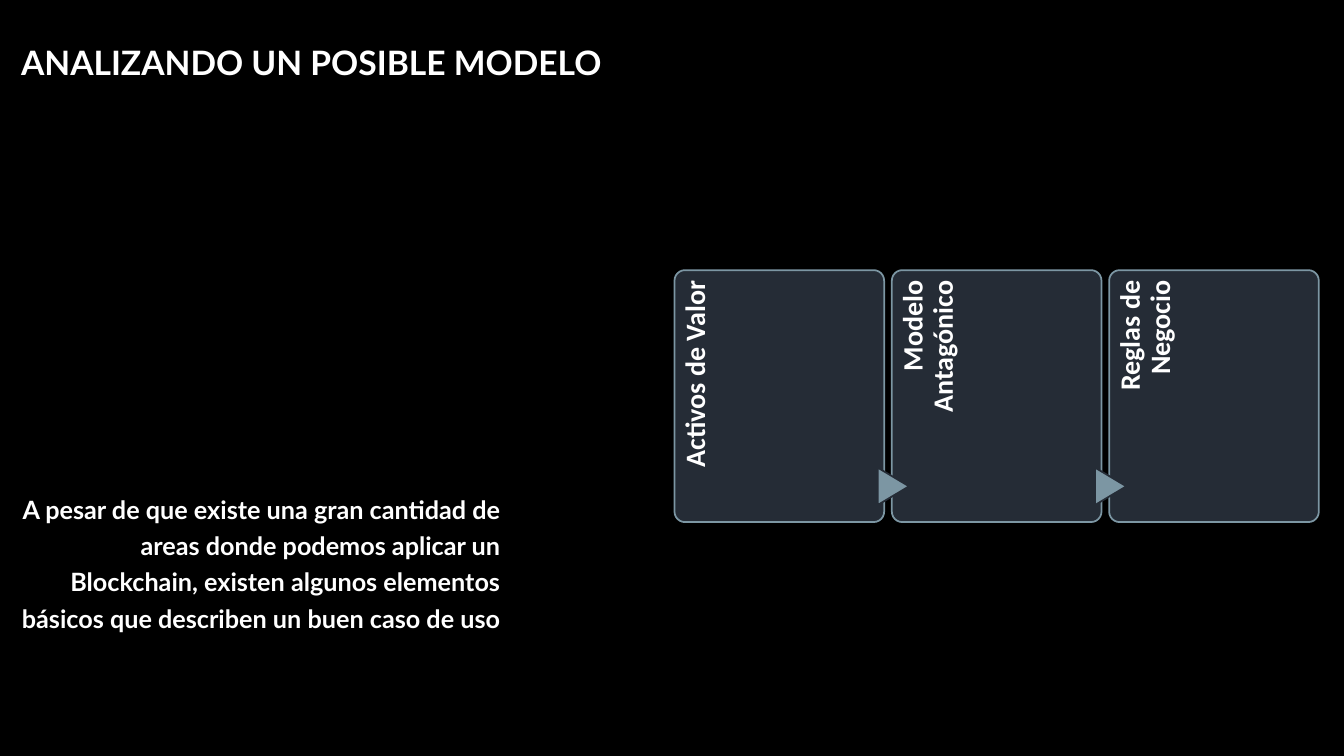
from dataclasses import dataclass, field
from typing import Any

from lxml import etree
from pptx import Presentation
from pptx.dml.color import RGBColor
from pptx.enum.shapes import MSO_SHAPE
from pptx.enum.text import MSO_ANCHOR, PP_ALIGN
from pptx.oxml.ns import qn
from pptx.util import Emu, Inches, Pt

ROUND = MSO_SHAPE.ROUNDED_RECTANGLE
ARROW = MSO_SHAPE.FLOWCHART_EXTRACT
TOP, BOTTOM = MSO_ANCHOR.TOP, MSO_ANCHOR.BOTTOM
LEFT, RIGHT = PP_ALIGN.LEFT, PP_ALIGN.RIGHT
WIDE, HIGH = Inches(13.33), Inches(7.5)


@dataclass(frozen=True)
class Theme:
    back: RGBColor = RGBColor(0x00, 0x00, 0x00)
    ink: RGBColor = RGBColor(0xFF, 0xFF, 0xFF)
    card: RGBColor = RGBColor(0x25, 0x2C, 0x36)
    edge: RGBColor = RGBColor(0x7C, 0x96, 0xA3)
    main: str = "Lato"
    side: str = "Calibri"
    title: Pt = Pt(24)
    body: Pt = Pt(18)
    label: Pt = Pt(20)
    line: Pt = Pt(1.25)
    veil: int = 58


THEME = Theme()


@dataclass(frozen=True)
class Area:
    """Left, top, width and height in percent of the slide."""
    x: float
    y: float
    w: float
    h: float

    def box(self) -> tuple[Emu, Emu, Emu, Emu]:
        return (Emu(int(WIDE * self.x / 100)), Emu(int(HIGH * self.y / 100)),
                Emu(int(WIDE * self.w / 100)), Emu(int(HIGH * self.h / 100)))


@dataclass(frozen=True)
class Note:
    text: str
    area: Area
    font: dict[str, Any]
    para: dict[str, Any]
    frame: dict[str, Any] = field(default_factory=dict)
    turn: int = 0
    veil: bool = False


def apply(item: Any, style: dict[str, Any]) -> None:
    for name, value in style.items():
        setattr(item, name, value)


def centred(x: float, y: float, w: float, h: float) -> Area:
    return Area(x - w / 2, y - h / 2, w, h)


def add_note(slide: Any, note: Note) -> None:
    shape = slide.shapes.add_textbox(*note.area.box())
    shape.rotation = note.turn
    if note.veil:
        shape.fill.solid()
        shape.fill.fore_color.rgb = THEME.back
        color = shape.fill._xPr.find(".//" + qn("a:srgbClr"))
        etree.SubElement(color, qn("a:alpha"), val=str(THEME.veil * 1000))
    frame = shape.text_frame
    apply(frame, {"word_wrap": True, "vertical_anchor": TOP} | note.frame)
    para = frame.paragraphs[0]
    apply(para, note.para)
    run = para.add_run()
    run.text = note.text
    apply(run.font, {"bold": True} | note.font)
    run.font.color.rgb = THEME.ink


def add_form(slide: Any, kind: Any, area: Area, fill: RGBColor,
             edge: RGBColor) -> Any:
    shape = slide.shapes.add_shape(kind, *area.box())
    shape.shadow.inherit = False
    shape.fill.solid()
    shape.fill.fore_color.rgb = fill
    shape.line.color.rgb = edge
    shape.line.width = THEME.line
    return shape


NOTES = (
    Note("ANALIZANDO UN POSIBLE MODELO", Area(0.83, 5.47, 97.37, 13.07),
         {"name": THEME.main, "size": THEME.title},
         {"alignment": LEFT, "line_spacing": 0.9}, veil=True),
    Note("A pesar de que existe una gran cantidad de areas donde podemos "
         "aplicar un Blockchain, existen algunos elementos básicos que "
         "describen un buen caso de uso", Area(0.83, 20.13, 37.13, 64.27),
         {"name": THEME.main, "size": THEME.body},
         {"alignment": RIGHT, "line_spacing": 1.2},
         {"vertical_anchor": BOTTOM}, veil=True),
)
CARDS = ("Activos de Valor", "Modelo Antagónico", "Reglas de Negocio")
FIRST = Area(50.19, 35.73, 15.6, 33.33)
PITCH = 16.17


def add_card(slide: Any, index: int, text: str) -> None:
    """Draw a card, its upright label and the arrow that leads into it."""
    left = FIRST.x + index * PITCH
    card = add_form(slide, ROUND, Area(left, FIRST.y, FIRST.w, FIRST.h),
                    THEME.card, THEME.edge)
    card.adjustments[0] = 0.05
    add_note(slide, Note(
        text, centred(left + 1.53, 49.47, 15.38, 5.6),
        {"name": THEME.side, "size": THEME.label},
        {"alignment": RIGHT, "line_spacing": 0.9},
        {"margin_left": 0, "margin_top": Inches(0.07),
         "margin_right": Inches(0.1), "margin_bottom": 0}, turn=270))
    if index:
        arrow = add_form(slide, ARROW, centred(left + 0.11, 64.33, 2.78, 4.13),
                         THEME.edge, THEME.card)
        arrow.rotation = 90


def main() -> None:
    deck = Presentation()
    apply(deck, {"slide_width": WIDE, "slide_height": HIGH})
    slide = deck.slides.add_slide(deck.slide_layouts[6])
    slide.background.fill.solid()
    slide.background.fill.fore_color.rgb = THEME.back
    for note in NOTES:
        add_note(slide, note)
    for index, text in enumerate(CARDS):
        add_card(slide, index, text)
    deck.save("out.pptx")


if __name__ == "__main__":
    main()
